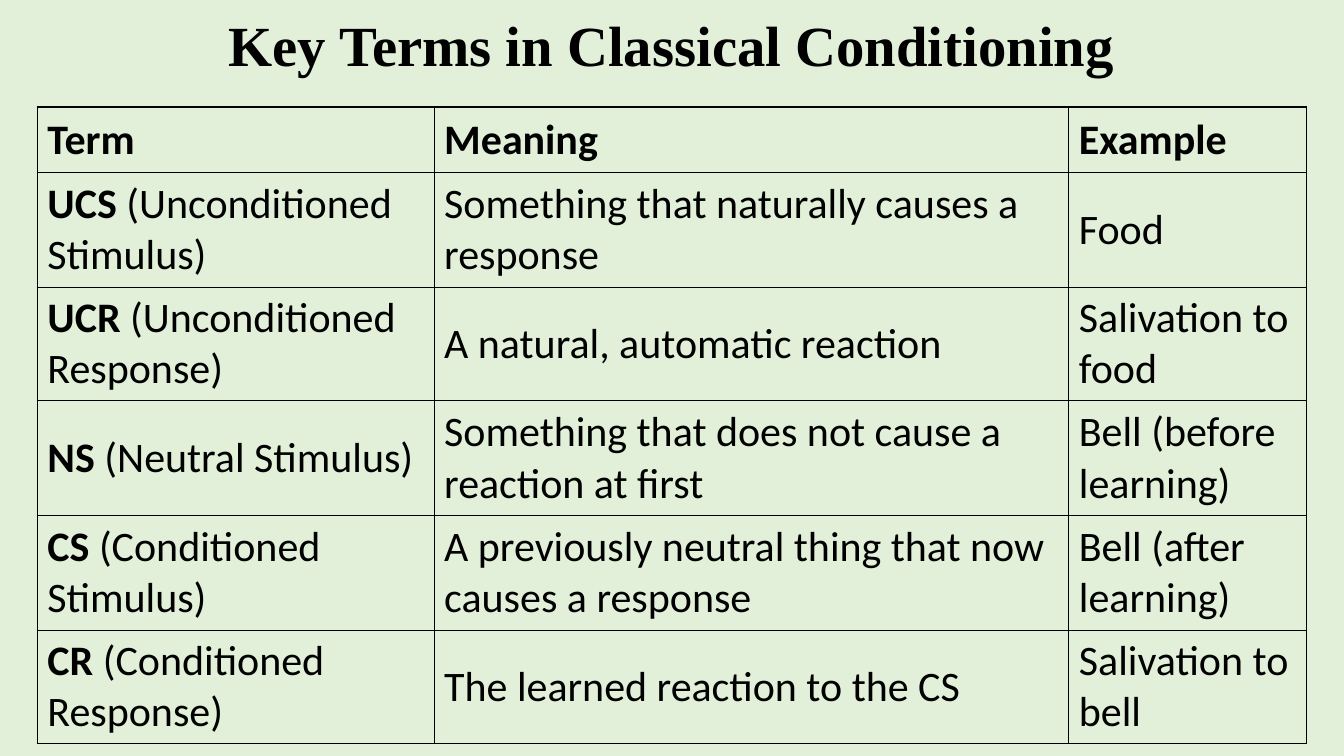
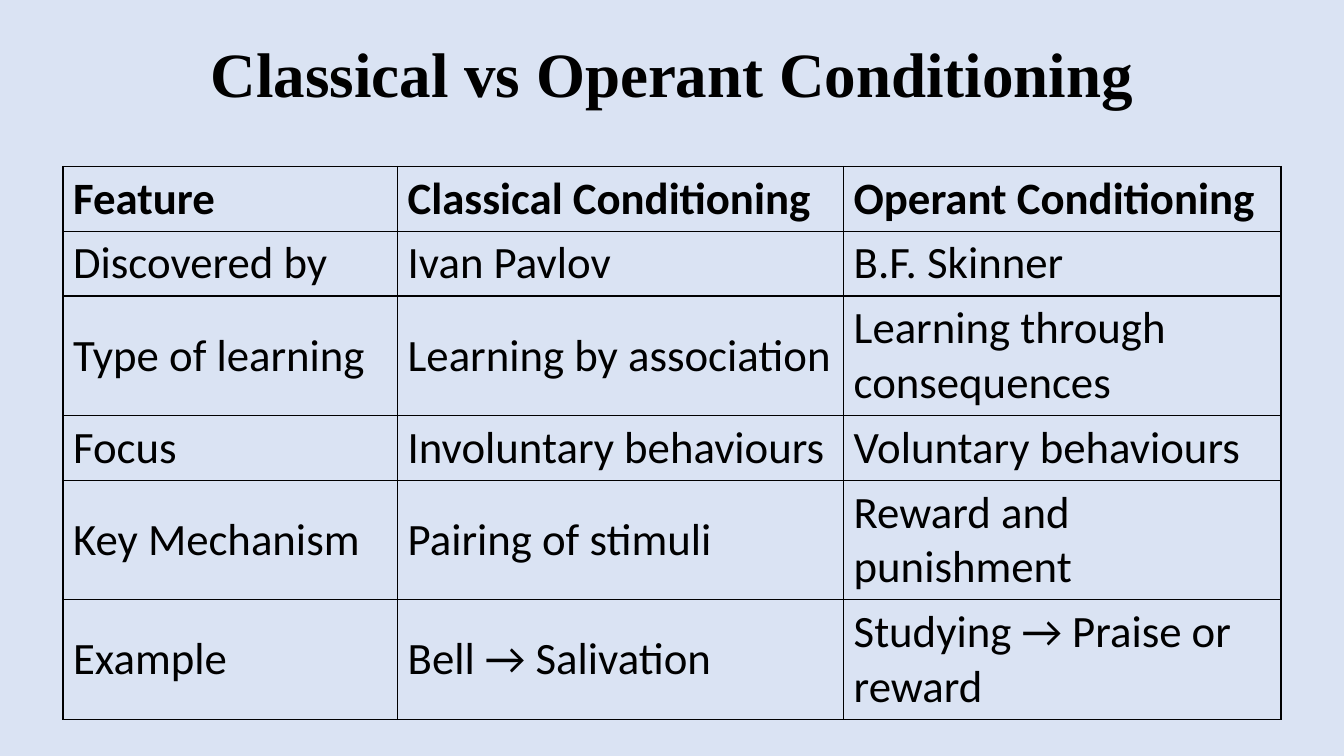
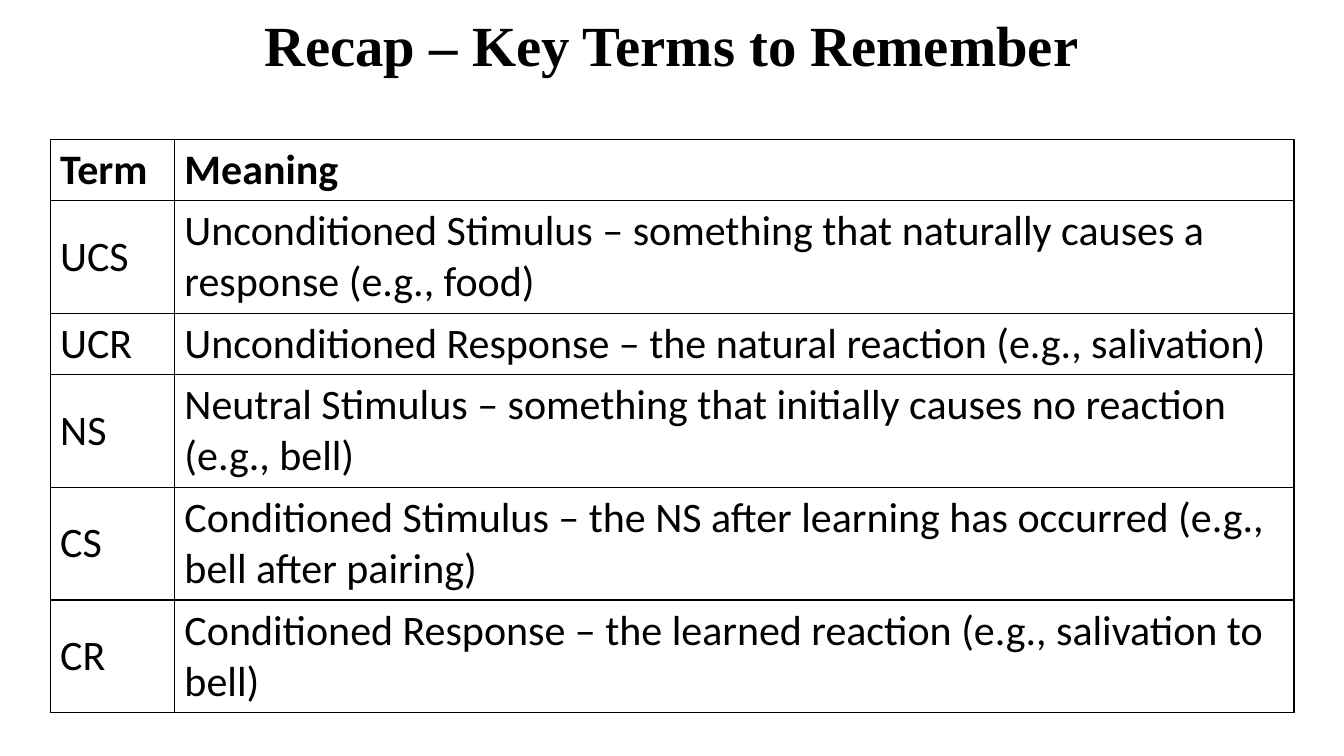
import pptx
import pptx.dml.color
import pptx.enum.text
import pptx.oxml
import pptx.oxml.ns
import pptx.util

Pt = pptx.util.Pt
MIDDLE = pptx.enum.text.MSO_ANCHOR.MIDDLE
CENTER = pptx.enum.text.PP_ALIGN.CENTER
INK = "000000"
TITLE_FONT = "Times New Roman"
BODY_FONT = "Calibri"
SLIDE_W, SLIDE_H = 960, 540
TITLE_W, TITLE_TOP = 828, 11.5

SLIDES = [
    dict(
        bg="E2F0D9",
        title=("Key Terms in Classical Conditioning", 40.5, 45.4),
        box=(26.7, 76.4),
        cols=[283.4, 453.4, 170],
        rows=[46.8, 82, 81, 82, 82, 81],
        size=30,
        cells=[
            ["Term", "Meaning", "Example"],
            [("UCS", " (Unconditioned Stimulus)"),
             "Something that naturally causes a response", "Food"],
            [("UCR", " (Unconditioned Response)"),
             "A natural, automatic reaction", "Salivation to food"],
            [("NS", " (Neutral Stimulus)"),
             "Something that does not cause a reaction at first",
             "Bell (before learning)"],
            [("CS", " (Conditioned Stimulus)"),
             "A previously neutral thing that now causes a response",
             "Bell (after learning)"],
            [("CR", " (Conditioned Response)"),
             "The learned reaction to the CS", "Salivation to bell"],
        ],
    ),
    dict(
        bg="DAE3F3",
        title=("Classical vs Operant Conditioning", 45, 87),
        box=(45, 118.9),
        cols=[239, 318.6, 312.4],
        rows=[46.3, 46.3, 85.3, 46.3, 85.3, 85.3],
        size=32,
        cells=[
            ["Feature", "Classical Conditioning", "Operant Conditioning"],
            ["Discovered by", "Ivan Pavlov", "B.F. Skinner"],
            ["Type of learning", "Learning by association",
             "Learning through consequences"],
            ["Focus", "Involuntary behaviours", "Voluntary behaviours"],
            ["Key Mechanism", "Pairing of stimuli", "Reward and punishment"],
            ["Example", "Bell → Salivation", "Studying → Praise or reward"],
        ],
    ),
    dict(
        bg="FFFFFF",
        title=("Recap – Key Terms to Remember", 40.5, 45.4),
        box=(35.8, 99.6),
        cols=[88.8, 799.7],
        rows=[43.6, 80.6, 43.6, 80.6, 80.6, 80.6],
        size=30,
        cells=[
            ["Term", "Meaning"],
            ["UCS", "Unconditioned Stimulus – something that naturally "
                    "causes a response (e.g., food)"],
            ["UCR", "Unconditioned Response – the natural reaction "
                    "(e.g., salivation)"],
            ["NS", "Neutral Stimulus – something that initially causes "
                   "no reaction (e.g., bell)"],
            ["CS", "Conditioned Stimulus – the NS after learning has "
                   "occurred (e.g., bell after pairing)"],
            ["CR", "Conditioned Response – the learned reaction "
                   "(e.g., salivation to bell)"],
        ],
    ),
]


def paint(color, hex_string):
    color.rgb = pptx.dml.color.RGBColor.from_string(hex_string)


def style_run(r, font, size, bold):
    r.font.name = font
    r.font.size = Pt(size)
    r.font.bold = bold
    paint(r.font.color, INK)


def add_title(slide, text, size, height):
    sp = slide.shapes.add_textbox(Pt((SLIDE_W - TITLE_W) / 2), Pt(TITLE_TOP),
                                  Pt(TITLE_W), Pt(height))
    tf = sp.text_frame
    tf.word_wrap = True
    tf.vertical_anchor = MIDDLE
    tf.text = text
    p = tf.paragraphs[0]
    p.alignment = CENTER
    p.line_spacing = 0.9
    style_run(p.runs[0], TITLE_FONT, size, True)


def set_borders(cell, width=1):
    tc_pr = cell._tc.get_or_add_tcPr()
    for i, side in enumerate(("lnL", "lnR", "lnT", "lnB")):
        tc_pr.insert(i, pptx.oxml.parse_xml(
            f'<a:{side} {pptx.oxml.ns.nsdecls("a")} w="{Pt(width)}">'
            f'<a:solidFill><a:srgbClr val="{INK}"/></a:solidFill></a:{side}>'))


def fill_cell(cell, content, size, header):
    cell.fill.background()
    set_borders(cell)
    cell.vertical_anchor = MIDDLE
    p = cell.text_frame.paragraphs[0]
    if isinstance(content, tuple):
        term, rest = content
        p.text = term
        p.add_run().text = rest
    else:
        p.text = content
    for i, r in enumerate(p.runs):
        lead = len(p.runs) > 1 and i == 0
        style_run(r, BODY_FONT, size, header or lead)


def add_grid(slide, box, cols, rows, size, cells):
    left, top = box
    table = slide.shapes.add_table(len(rows), len(cols), Pt(left), Pt(top),
                                   Pt(sum(cols)), Pt(sum(rows))).table
    table.first_row = table.horz_banding = False
    for col, width in zip(table.columns, cols):
        col.width = Pt(width)
    for i, (row, height) in enumerate(zip(table.rows, rows)):
        row.height = Pt(height)
        for cell, content in zip(row.cells, cells[i]):
            fill_cell(cell, content, size, i == 0)


def add_table_slide(prs, bg, title, **grid):
    slide = prs.slides.add_slide(prs.slide_layouts[6])
    fill = slide.background.fill
    fill.solid()
    paint(fill.fore_color, bg)
    add_title(slide, *title)
    add_grid(slide, **grid)


def main():
    prs = pptx.Presentation()
    prs.slide_width, prs.slide_height = Pt(SLIDE_W), Pt(SLIDE_H)
    for content in SLIDES:
        add_table_slide(prs, **content)
    prs.save("out.pptx")


if __name__ == "__main__":
    main()
